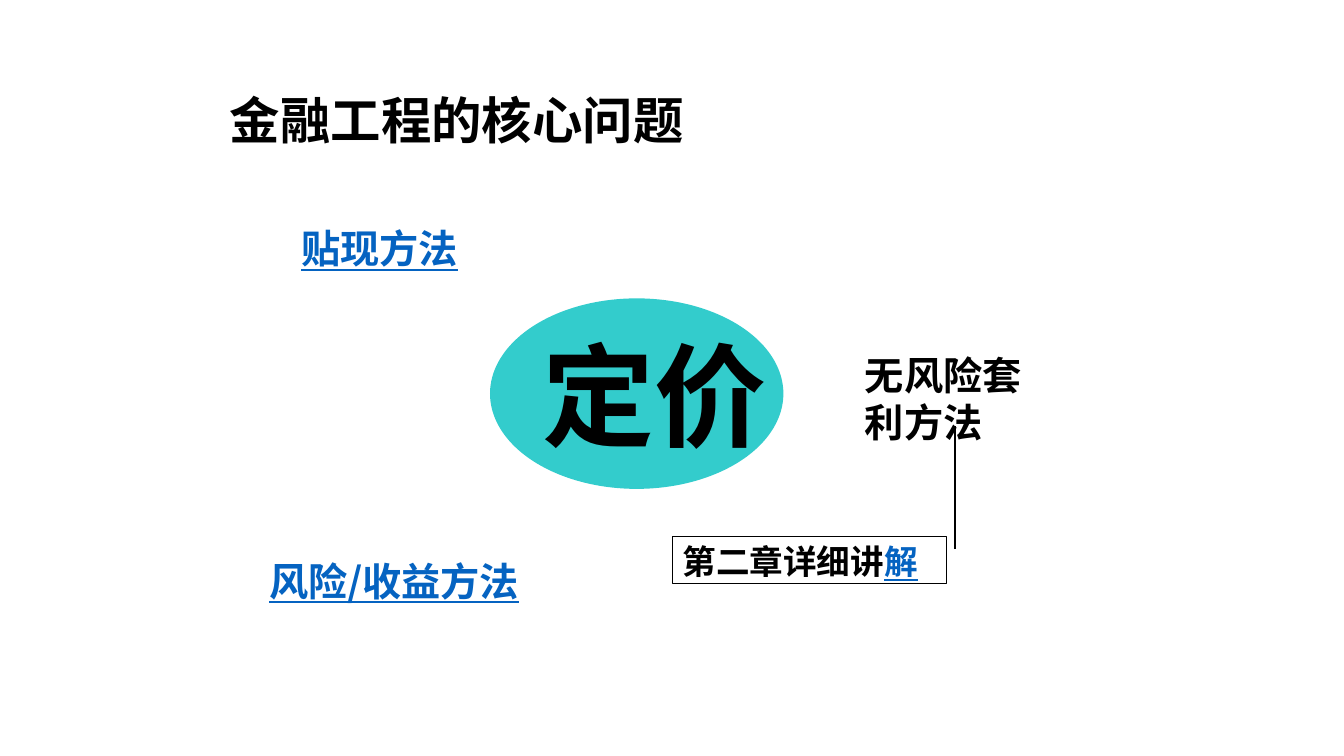
"""Builds a slide on pricing as the core problem of financial engineering."""
from lxml.etree import SubElement
from pptx import Presentation
from pptx.dml.color import RGBColor
from pptx.enum.shapes import MSO_SHAPE as Shape
from pptx.enum.text import MSO_ANCHOR as Anchor, MSO_AUTO_SIZE as AutoSize, PP_ALIGN as Align
from pptx.oxml.ns import qn
from pptx.util import Inches, Pt

BLACK = RGBColor(0x00, 0x00, 0x00)
TEAL = RGBColor(0x33, 0xCC, 0xCC)
LINK_BLUE = RGBColor(0x05, 0x63, 0xC1)
CJK_FONT = "Noto Sans CJK SC"
LINK = {"color": LINK_BLUE, "underline": True}


class SlideBuilder:
    def __init__(self, page):
        self.page = page

    def fill_text(self, box, spans, size, font="Arial", anchor=Anchor.TOP, wrap=True, grow=False):
        frame = box.text_frame
        frame_format = {
            "word_wrap": wrap,
            "vertical_anchor": anchor,
            "auto_size": AutoSize.SHAPE_TO_FIT_TEXT if grow else AutoSize.NONE,
        }
        for name, value in frame_format.items():
            setattr(frame, name, value)
        para = frame.paragraphs[0]
        para.alignment = Align.LEFT
        for text, style in spans:
            span = para.add_run()
            span.text = text
            span_format = {
                "name": style.get("font", font),
                "size": Pt(size),
                "bold": True,
                "underline": style.get("underline", False),
            }
            for name, value in span_format.items():
                setattr(span.font, name, value)
            span.font.color.rgb = style.get("color", BLACK)
            SubElement(span.font._element, qn("a:ea"), typeface=CJK_FONT)
        return para

    def title(self, area, text):
        box = self.page.shapes.title
        for name, value in zip(("left", "top", "width", "height"), area):
            setattr(box, name, Inches(value))
        para = self.fill_text(box, [(text, {})], 36, CJK_FONT, Anchor.MIDDLE)
        para.line_spacing = 0.9

    def label(self, area, spans):
        box = self.page.shapes.add_textbox(*map(Inches, area))
        self.fill_text(box, spans, 28, grow=True)

    def shape(self, kind, area):
        shape = self.page.shapes.add_shape(kind, *map(Inches, area))
        shape.shadow.inherit = False
        return shape

    def ellipse(self, area, text):
        ellipse = self.shape(Shape.OVAL, area)
        ellipse.fill.solid()
        ellipse.fill.fore_color.rgb = TEAL
        ellipse.line.fill.background()
        self.fill_text(ellipse, [(text, {})], 80, "Times New Roman", Anchor.MIDDLE, wrap=False)

    def callout(self, area, pointer, spans):
        callout = self.shape(Shape.LINE_CALLOUT_1, area)
        for index, value in enumerate(pointer):
            callout.adjustments[index] = value
        callout.fill.background()
        callout.line.color.rgb = BLACK
        callout.line.width = Pt(0.75)
        self.fill_text(callout, spans, 24)


def main():
    deck = Presentation()
    deck.slide_width, deck.slide_height = Inches(13.33), Inches(7.5)
    builder = SlideBuilder(deck.slides.add_slide(deck.slide_layouts[5]))
    builder.title((2.18, 0.6, 8.17, 1.25), "金融工程的核心问题")
    builder.ellipse((4.86, 2.96, 2.91, 1.89), "定价")
    builder.label((2.89, 2.18, 1.81, 0.57), [("贴现方法", LINK)])
    builder.label(
        (2.57, 5.48, 3.07, 0.57),
        [("风险", LINK), ("/", {**LINK, "font": CJK_FONT}), ("收益方法", LINK)],
    )
    builder.label((8.48, 3.44, 1.81, 1.03), [("无风险套利方法", {})])
    builder.callout(
        (6.67, 5.32, 2.72, 0.47),
        (0.27, 1.03, -2.33, 1.03),
        [("第二章详细讲", {}), ("解", LINK)],
    )
    deck.save("out.pptx")


if __name__ == "__main__":
    main()
